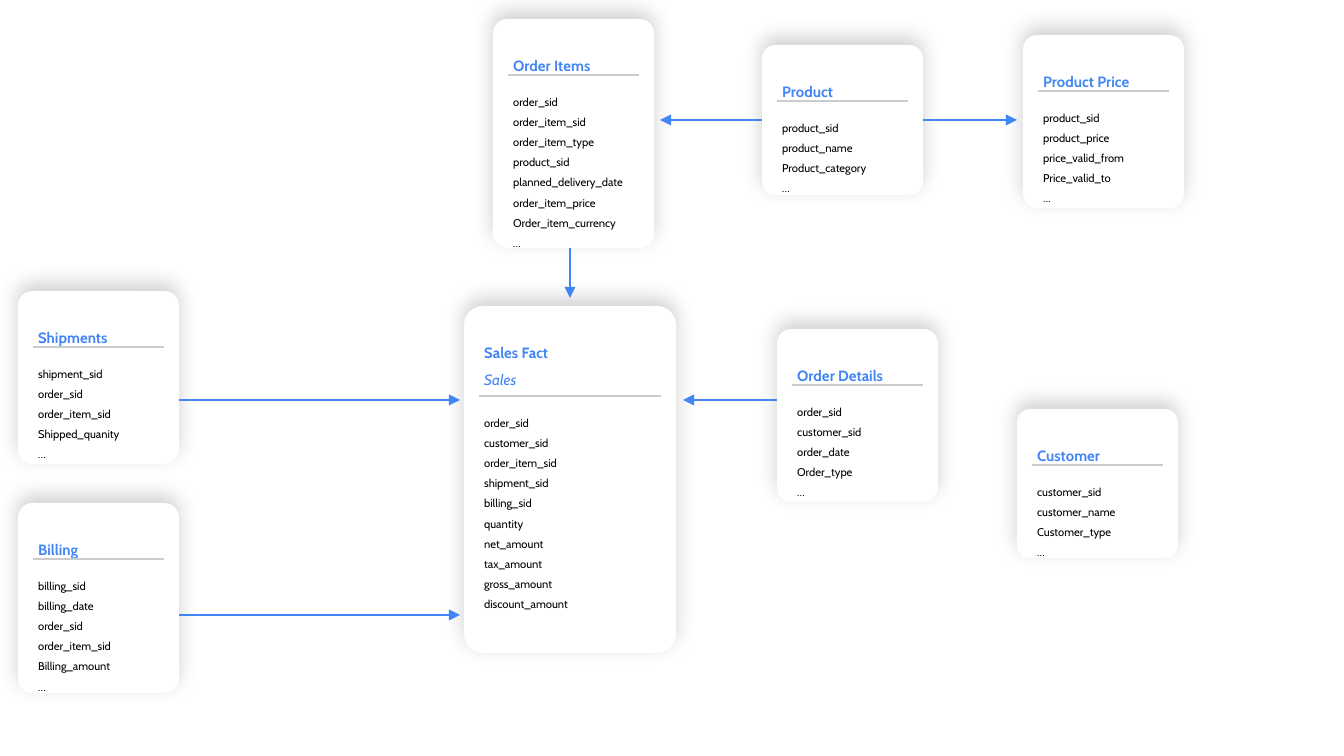
import pptx
import pptx.dml.color
import pptx.enum.shapes
import pptx.enum.text
import pptx.oxml
import pptx.oxml.ns
import pptx.util
from lxml import etree

PX = 914400 / 134.4
BLUE = pptx.dml.color.RGBColor(0x42, 0x85, 0xF4)
GREY = pptx.dml.color.RGBColor(0xCC, 0xCC, 0xCC)
BLACK = pptx.dml.color.RGBColor(0x00, 0x00, 0x00)
WHITE = pptx.dml.color.RGBColor(0xFF, 0xFF, 0xFF)
SHADOW = (
    '<a:outerShdw xmlns:a="http://schemas.openxmlformats.org/drawingml/2006/main"'
    ' blurRad="142240" dist="48260" dir="15960000" algn="bl" rotWithShape="0">'
    '<a:srgbClr val="000000"><a:alpha val="18000"/></a:srgbClr></a:outerShdw>'
)

# name: (left, top, width, height, titles, columns)
TABLES = {
    "Order Items": (493, 19, 161, 229, ["Order Items"], [
        "order_sid", "order_item_sid", "order_item_type", "product_sid",
        "planned_delivery_date", "order_item_price", "Order_item_currency", "…"]),
    "Product": (762, 45, 161, 150, ["Product"], [
        "product_sid", "product_name", "Product_category", "…"]),
    "Product Price": (1023, 35, 161, 173, ["Product Price"], [
        "product_sid", "product_price", "price_valid_from", "Price_valid_to", "…"]),
    "Shipments": (18, 291, 161, 173, ["Shipments"], [
        "shipment_sid", "order_sid", "order_item_sid", "Shipped_quanity", "…"]),
    "Billing": (18, 503, 161, 190, ["Billing"], [
        "billing_sid", "billing_date", "order_sid", "order_item_sid",
        "Billing_amount", "…"]),
    "Sales Fact": (464, 306, 212, 347, ["Sales Fact", "Sales"], [
        "order_sid", "customer_sid", "order_item_sid", "shipment_sid", "billing_sid",
        "quantity", "net_amount", "tax_amount", "gross_amount", "discount_amount"]),
    "Order Details": (777, 329, 161, 173, ["Order Details"], [
        "order_sid", "customer_sid", "order_date", "Order_type", "…"]),
    "Customer": (1017, 409, 161, 149, ["Customer"], [
        "customer_sid", "customer_name", "Customer_type", "…"]),
}

# (x1, y1, x2, y2, table and side to join at the start)
ARROWS = [
    (762, 120, 660, 120, ("Product", 1)),
    (923, 120, 1017, 120, ("Product", 3)),
    (570, 248, 570, 298, None),
    (179, 400, 460, 400, None),
    (777, 400, 683, 400, None),
    (179, 615, 460, 615, None),
]

presentation = pptx.Presentation()
presentation.slide_width = round(1344 * PX)
presentation.slide_height = round(756 * PX)
slide = presentation.slides.add_slide(presentation.slide_layouts[6])


def add_line(x1, y1, x2, y2, color):
    line = slide.shapes.add_connector(
        pptx.enum.shapes.MSO_CONNECTOR.STRAIGHT,
        *(round(value * PX) for value in (x1, y1, x2, y2)))
    line.line.color.rgb = color
    line.line.width = pptx.util.Pt(0.75)
    etree.SubElement(line._element.spPr, pptx.oxml.ns.qn("a:effectLst"))
    return line


def add_text(left, top, height, lines, size, color):
    box = slide.shapes.add_textbox(
        *(round(value * PX) for value in (left, top, 154, height)))
    frame = box.text_frame
    frame.word_wrap = True
    frame.auto_size = pptx.enum.text.MSO_AUTO_SIZE.SHAPE_TO_FIT_TEXT
    frame.margin_left = frame.margin_right = pptx.util.Inches(0.1)
    frame.margin_top = frame.margin_bottom = pptx.util.Inches(0.1)
    frame.text = "\n".join(lines)
    for paragraph in frame.paragraphs:
        paragraph.line_spacing = 1.5
        font = paragraph.runs[0].font
        font.name = "Cabin"
        font.size = pptx.util.Pt(size)
        font.color.rgb = color
    return frame


cards = {}
for name, (left, top, width, height, titles, columns) in TABLES.items():
    card = slide.shapes.add_shape(
        pptx.enum.shapes.MSO_SHAPE.ROUNDED_RECTANGLE,
        *(round(value * PX) for value in (left, top, width, height)))
    card.adjustments[0] = 0.09
    card.fill.solid()
    card.fill.fore_color.rgb = WHITE
    card.line.fill.background()
    card.shadow.inherit = False
    effects = card._element.spPr.find(pptx.oxml.ns.qn("a:effectLst"))
    effects.append(pptx.oxml.parse_xml(SHADOW))
    cards[name] = card

    rule_y = top + 22 + 34 * len(titles)
    add_text(left + 7, rule_y, 22 + 20 * len(columns), columns, 6, BLACK)
    heading = add_text(left + 7, top + 15, 19 + 27 * len(titles), titles, 8, BLUE)
    heading.paragraphs[0].runs[0].font.bold = True
    for subtitle in heading.paragraphs[1:]:
        subtitle.runs[0].font.italic = True
    add_line(left + 15, rule_y, left + width - 15, rule_y, GREY)

for x1, y1, x2, y2, joint in ARROWS:
    arrow = add_line(x1, y1, x2, y2, BLUE)
    etree.SubElement(arrow.line._get_or_add_ln(), pptx.oxml.ns.qn("a:tailEnd"),
                     type="triangle")
    if joint:
        name, side = joint
        arrow.begin_connect(cards[name], side)

presentation.save("out.pptx")
